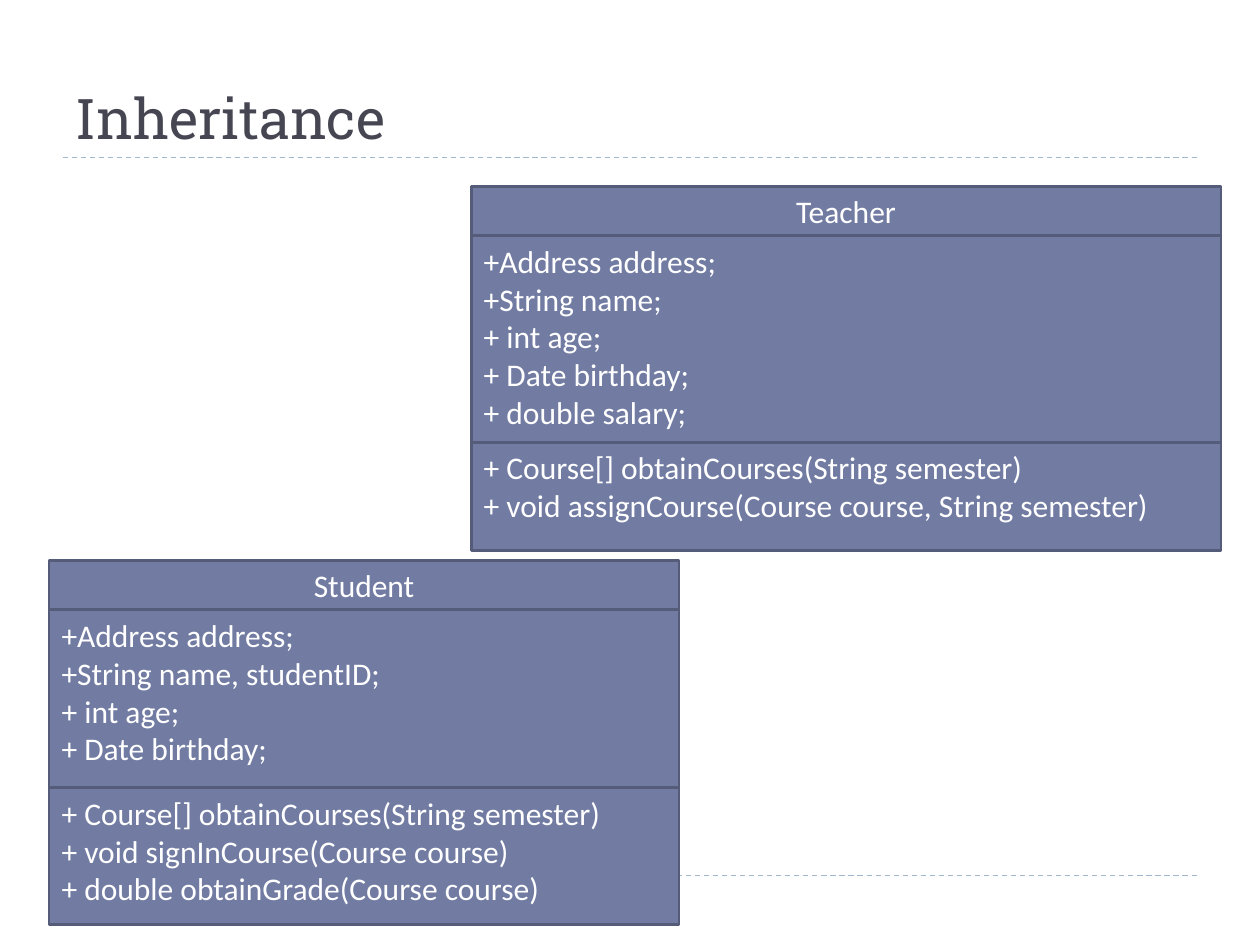
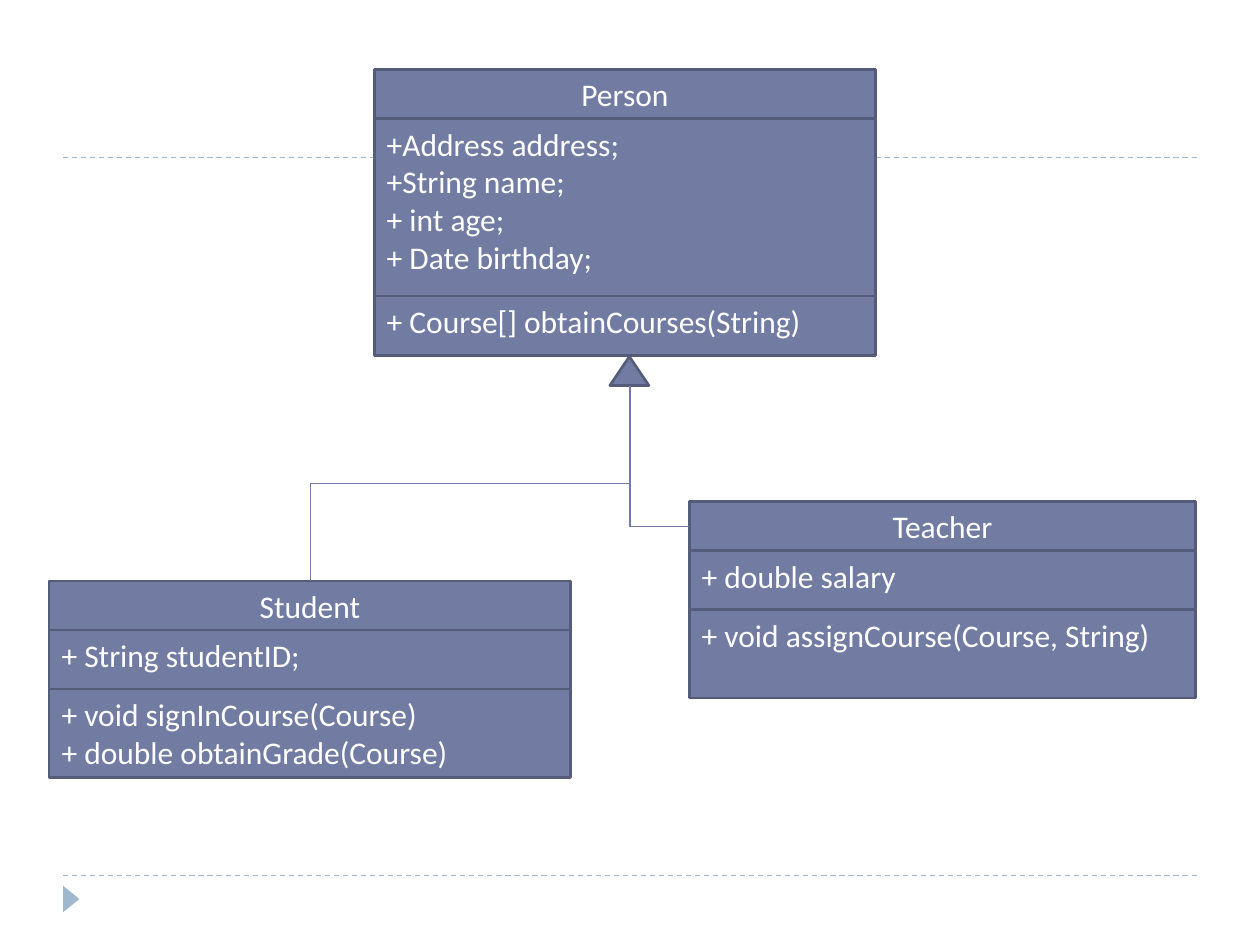
"""Builds two slides on inheritance with UML class boxes."""
from lxml.etree import SubElement
from pptx import Presentation
from pptx.dml.color import RGBColor
from pptx.enum.dml import MSO_LINE
from pptx.enum.shapes import MSO_CONNECTOR, MSO_SHAPE
from pptx.enum.text import MSO_ANCHOR, PP_ALIGN
from pptx.oxml.ns import qn
from pptx.util import Inches, Pt

COLORS = {"title": "464653", "rule": "9FB8CD", "box": "727CA3",
          "edge": "545C79", "text": "FFFFFF"}
WIDTH, HEIGHT = 10, 7.5
MARGIN = 0.05 * WIDTH
HEAD = 0.39
PERSON = ["+Address address;", "+String name;", "+ int age;", "+ Date birthday;"]
COURSES = "+ Course[] obtainCourses(String semester)"


def tint(name):
    return RGBColor.from_string(COLORS[name])


def style(para, font, size, color, align=PP_ALIGN.LEFT):
    para.alignment = align
    para.font.name = font
    para.font.size = Pt(size)
    para.font.color.rgb = tint(color)


def draw(shapes, kind, x, y, w, h, fill="box", edge="edge"):
    shape = shapes.add_shape(kind, *map(Inches, (x, y, w, h)))
    shape.shadow.inherit = False
    shape.fill.solid()
    shape.fill.fore_color.rgb = tint(fill)
    if edge:
        shape.line.color.rgb = tint(edge)
        shape.line.width = Pt(1.5)
    else:
        shape.line.fill.background()
    return shape


def cell(shapes, x, y, w, h, rows, head):
    frame = draw(shapes, MSO_SHAPE.RECTANGLE, x, y, w, h).text_frame
    frame.word_wrap = True
    frame.vertical_anchor = MSO_ANCHOR.MIDDLE if head else MSO_ANCHOR.TOP
    frame.text = "\n".join(rows)
    for para in frame.paragraphs:
        style(para, "Calibri", 18, "text", PP_ALIGN.CENTER if head else PP_ALIGN.LEFT)


def uml(slide, x, y, w, name, fields, tall, methods, low):
    """Stack the name, field and method cells of one class."""
    shapes = slide.shapes.add_group_shape().shapes
    for rows, h in (([name], HEAD), (fields, tall), (methods, low)):
        cell(shapes, x, y, w, h, rows, rows == [name])
        y += h


def link(slide, kind, start, end, color):
    line = slide.shapes.add_connector(kind, *map(Inches, start + end))
    line.line.color.rgb = tint(color)
    line.line.width = Pt(0.75)
    SubElement(line._element.spPr, qn("a:effectLst"))
    return line


def elbow(slide, start, end, turn, preset):
    """Draw a bent line in its unturned frame, then turn it."""
    line = link(slide, MSO_CONNECTOR.ELBOW, start, end, "box")
    props = line._element.spPr
    props.find(qn("a:xfrm")).set("rot", str(turn * 60000))
    props.find(qn("a:prstGeom")).set("prst", preset)


def rules(slide):
    for y in (6.95, 1.25):
        line = link(slide, MSO_CONNECTOR.STRAIGHT, (MARGIN, y), (WIDTH - MARGIN, y), "rule")
        line.line.dash_style = MSO_LINE.DASH


def title(slide, text):
    shape = slide.shapes.title
    shape.left, shape.top = Inches(MARGIN), Inches(0.25)
    shape.width, shape.height = Inches(WIDTH - 2 * MARGIN), Inches(1)
    shape.text_frame.text = text
    shape.text_frame.vertical_anchor = MSO_ANCHOR.BOTTOM
    style(shape.text_frame.paragraphs[0], "Roboto Slab", 32, "title")


def separate(deck):
    slide = deck.slides.add_slide(deck.slide_layouts[5])
    rules(slide)
    title(slide, "Inheritance")
    fields = [PERSON[0], "+String name, studentID;", *PERSON[2:]]
    uml(slide, 0.39, 4.45, 5, "Student", fields, 1.41,
        [COURSES, "+ void signInCourse(Course course)",
         "+ double obtainGrade(Course course)"], 1.09)
    uml(slide, 3.74, 1.48, 5.95, "Teacher", PERSON + ["+ double salary;"], 1.64,
        [COURSES, "+ void assignCourse(Course course, String semester)"], 0.86)


def derived(deck):
    slide = deck.slides.add_slide(deck.slide_layouts[6])
    rules(slide)
    mark = draw(slide.shapes, MSO_SHAPE.ISOSCELES_TRIANGLE, 0.46, 7.07, 0.21, 0.13, "rule", None)
    mark.rotation = 90
    uml(slide, 2.97, 0.55, 3.98, "Person", PERSON, 1.41,
        ["+ Course[] obtainCourses(String)"], 0.47)
    uml(slide, 0.39, 4.61, 4.14, "Student", ["+ String studentID;"], 0.47,
        ["+ void signInCourse(Course)", "+ double obtainGrade(Course)"], 0.7)
    uml(slide, 5.47, 3.98, 4.02, "Teacher", ["+ double salary"], 0.47,
        ["+ void assignCourse(Course, String)"], 0.7)
    draw(slide.shapes, MSO_SHAPE.ISOSCELES_TRIANGLE, 4.84, 2.83, 0.31, 0.23)
    elbow(slide, (4.51, 5.11), (2.96, 2.57), 90, "bentConnector3")
    elbow(slide, (5, 3.06), (5.47, 4.18), 180, "bentConnector2")


def main():
    deck = Presentation()
    deck.slide_width, deck.slide_height = Inches(WIDTH), Inches(HEIGHT)
    separate(deck)
    derived(deck)
    deck.save("out.pptx")


main()
